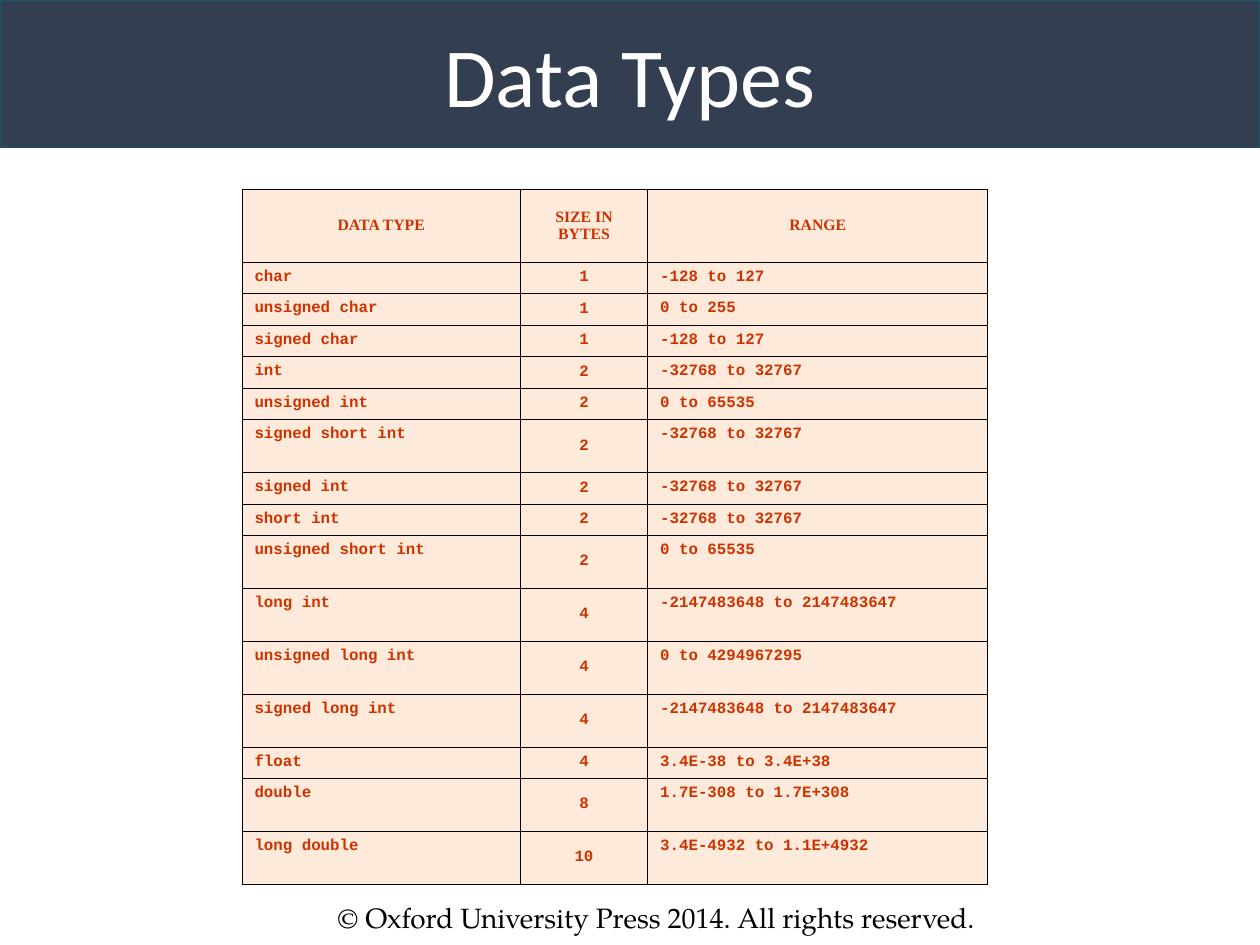
"""Build a slide with a table of C data types, their sizes and ranges."""
from lxml import etree
from pptx import Presentation
from pptx.dml.color import RGBColor
from pptx.enum.text import MSO_ANCHOR as Anchor, MSO_AUTO_SIZE as AutoSize, PP_ALIGN as Align
from pptx.oxml import parse_xml
from pptx.oxml.ns import nsdecls
from pptx.util import Inches, Pt

NAVY = RGBColor(0x33, 0x3F, 0x50)
TEAL = RGBColor(0x19, 0x58, 0x69)
PEACH = RGBColor(0xFD, 0xEA, 0xDA)
RUST = RGBColor(0xCC, 0x33, 0x00)
WHITE = RGBColor(0xFF, 0xFF, 0xFF)
BLACK = RGBColor(0x00, 0x00, 0x00)

HEADER_HEIGHT, SHORT, TALL = 0.58, 0.25, 0.42
COLUMN_WIDTHS = [2.21, 1.01, 2.7]
HEADINGS = ["DATA TYPE", "SIZE IN BYTES", "RANGE"]
DATA_TYPES = [
    ("char", "1", "-128 to 127", SHORT),
    ("unsigned char", "1", "0 to 255", SHORT),
    ("signed char", "1", "-128 to 127", SHORT),
    ("int", "2", "-32768 to 32767", SHORT),
    ("unsigned int", "2", "0 to 65535", SHORT),
    ("signed short int", "2", "-32768 to 32767", TALL),
    ("signed int", "2", "-32768 to 32767", SHORT),
    ("short int", "2", "-32768 to 32767", SHORT),
    ("unsigned short int", "2", "0 to 65535", TALL),
    ("long int", "4", "-2147483648 to 2147483647", TALL),
    ("unsigned long int", "4", "0 to 4294967295", TALL),
    ("signed long int", "4", "-2147483648 to 2147483647", TALL),
    ("float", "4", "3.4E-38 to 3.4E+38", SHORT),
    ("double", "8", "1.7E-308 to 1.7E+308", TALL),
    ("long double", "10", "3.4E-4932 to 1.1E+4932", TALL),
]


def write(frame, text, font, size, color, bold=False, align=Align.LEFT, anchor=Anchor.TOP):
    frame.word_wrap = True
    frame.vertical_anchor = anchor
    para = frame.paragraphs[0]
    para.alignment = align
    span = para.add_run()
    span.text = text
    span.font.name = font
    span.font.size = Pt(size)
    span.font.bold = bold
    span.font.color.rgb = color


def add_borders(cell, color, width):
    properties = cell._tc.get_or_add_tcPr()
    for position, side in enumerate(["lnL", "lnR", "lnT", "lnB"]):
        border = parse_xml(f'<a:{side} {nsdecls("a")} w="{Pt(width)}"/>')
        fill = etree.SubElement(border, border.tag.replace(side, "solidFill"))
        etree.SubElement(fill, border.tag.replace(side, "srgbClr"), val=str(color))
        properties.insert(position, border)


deck = Presentation()
deck.slide_width, deck.slide_height = Inches(10), Inches(7.5)
page = deck.slides.add_slide(deck.slide_layouts[5])

title = page.shapes.title
title.left, title.top = Inches(0), Inches(0)
title.width, title.height = Inches(10), Inches(1.17)
title.fill.solid()
title.fill.fore_color.rgb = NAVY
title.line.color.rgb = TEAL
title.line.width = Pt(1)
title.text_frame.auto_size = AutoSize.NONE
write(title.text_frame, "Data Types", "Calibri", 48, WHITE,
      align=Align.CENTER, anchor=Anchor.MIDDLE)

rows = [(*HEADINGS, HEADER_HEIGHT)] + DATA_TYPES
table = page.shapes.add_table(
    len(rows), len(HEADINGS), Inches(1.92), Inches(1.5),
    Inches(sum(COLUMN_WIDTHS)), Inches(sum(row[-1] for row in rows))).table
for column, width in zip(table.columns, COLUMN_WIDTHS):
    column.width = Inches(width)

for row_index, (*texts, height) in enumerate(rows):
    table.rows[row_index].height = Inches(height)
    for column_index, text in enumerate(texts):
        cell = table.cell(row_index, column_index)
        cell.fill.solid()
        cell.fill.fore_color.rgb = PEACH
        add_borders(cell, BLACK, 0.45)
        is_heading = row_index == 0
        centred = is_heading or column_index == 1
        write(cell.text_frame, text, "Times New Roman" if is_heading else "Courier New",
              9, RUST, bold=True, align=Align.CENTER if centred else Align.LEFT)
        cell.vertical_anchor = Anchor.MIDDLE if centred else Anchor.TOP

copyright_box = page.shapes.add_textbox(Inches(2.58), Inches(7.1), Inches(5.92), Inches(0.37))
write(copyright_box.text_frame, "© Oxford University Press 2014. All rights reserved.",
      "TeX Gyre Pagella", 16, BLACK)

deck.save("out.pptx")
